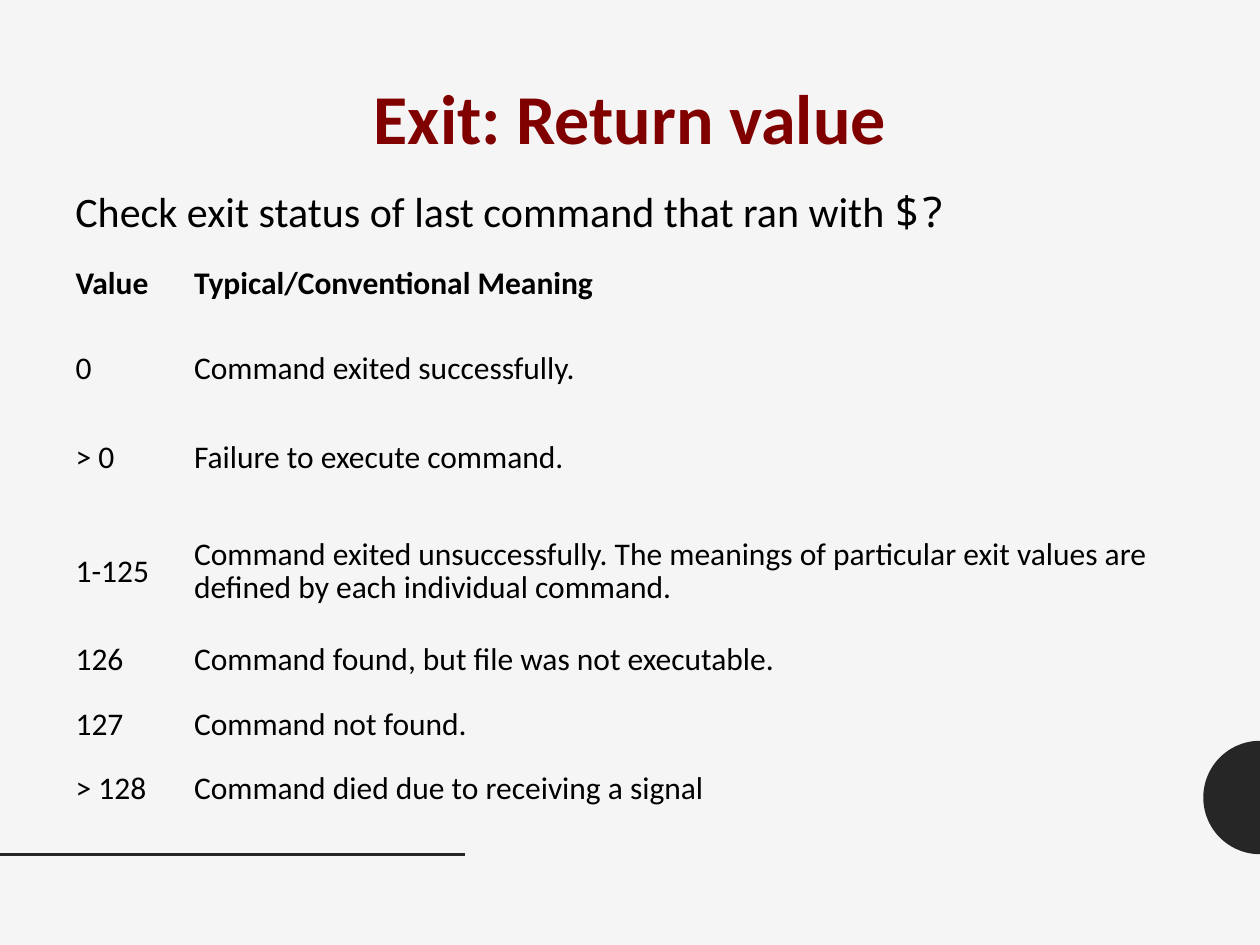
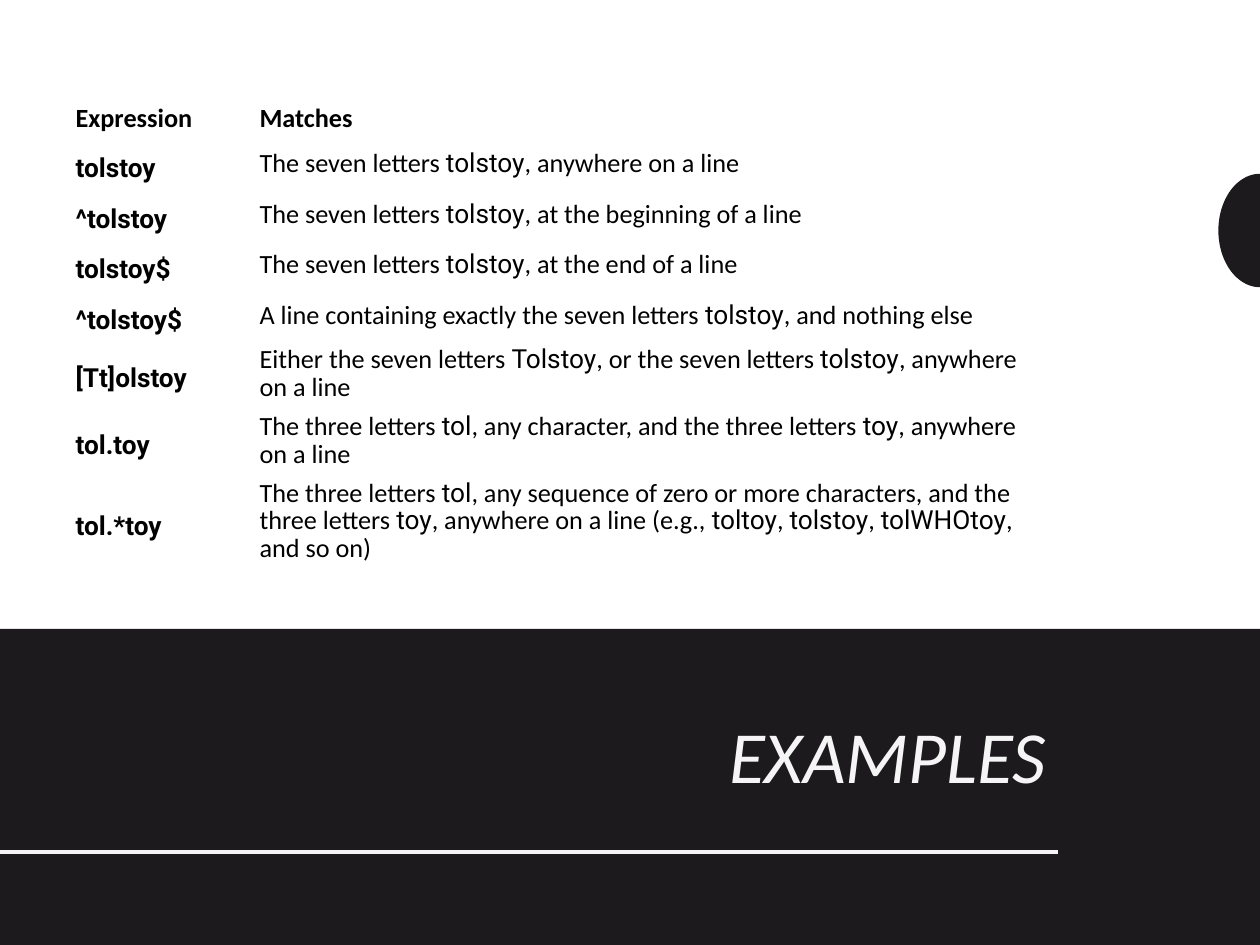
from math import cos, pi, sin

from lxml.etree import SubElement
from pptx import Presentation
from pptx.dml.color import RGBColor
from pptx.enum.shapes import MSO_CONNECTOR, MSO_SHAPE
from pptx.enum.text import MSO_ANCHOR, PP_ALIGN
from pptx.oxml.ns import qn
from pptx.util import Inches, Pt

PAPER = RGBColor(0xF5, 0xF5, 0xF5)
WHITE = RGBColor(0xFF, 0xFF, 0xFF)
CHARCOAL = RGBColor(0x26, 0x26, 0x26)
BAND = RGBColor(0x1D, 0x1A, 0x1D)
MAROON = RGBColor(0x80, 0x00, 0x00)
BLACK = RGBColor(0x00, 0x00, 0x00)

BODY_FONT = "Calibri"
MONO_FONT = "Noto Sans Mono"
CODE_FONT = "Roboto"
NO_STYLE_NO_GRID = "{2D5ABB26-0587-4C30-8999-92F81FD0307C}"
TIGHT, LOOSE = 0.87, 1.25

EXIT_VALUES = [
    ("Value", "Typical/Conventional Meaning"),
    ("0", "Command exited successfully."),
    ("> 0", "Failure to execute command."),
    ("1-125", "Command exited unsuccessfully. The meanings of particular exit "
              "values are defined by each individual command."),
    ("126", "Command found, but file was not executable."),
    ("127", "Command not found."),
    ("> 128", "Command died due to receiving a signal"),
]

# Backticks mark the words set in the code font.
EXPRESSIONS = [
    ("Expression", "Matches"),
    ("`tolstoy`", "The seven letters `tolstoy`, anywhere on a line"),
    ("`^tolstoy`", "The seven letters `tolstoy`, at the beginning of a line"),
    ("`tolstoy$`", "The seven letters `tolstoy`, at the end of a line"),
    ("`^tolstoy$`", "A line containing exactly the seven letters `tolstoy`, "
                    "and nothing else"),
    ("`[Tt]olstoy`", "Either the seven letters `Tolstoy`, or the seven letters "
                     "`tolstoy`, anywhere on a line"),
    ("`tol.toy`", "The three letters `tol`, any character, and the three "
                  "letters `toy`, anywhere on a line"),
    ("`tol.*toy`", "The three letters `tol`, any sequence of zero or more "
                   "characters, and the three letters `toy`, anywhere on a line "
                   "(e.g., `toltoy`, `tolstoy`, `tolWHOtoy`, and so on)"),
]


class SlideBuilder:
    def __init__(self, deck):
        self.deck = deck
        self.slide = None
        self.code_font = CODE_FONT

    def start(self, background, code_font):
        self.slide = self.deck.slides.add_slide(self.deck.slide_layouts[5])
        self.slide.background.fill.solid()
        self.slide.background.fill.fore_color.rgb = background
        self.code_font = code_font

    def add_spans(self, para, text, size, color=BLACK, bold=False, italic=False):
        """Fill a paragraph, setting words between backticks in the code font."""
        for index, part in enumerate(text.split("`")):
            if not part:
                continue
            span = para.add_run()
            span.text = part
            span.font.name = self.code_font if index % 2 else BODY_FONT
            span.font.size = Pt(size)
            span.font.color.rgb = color
            span.font.bold = bold
            span.font.italic = italic

    def title(self, text, left, top, width, height, align, anchor,
              spacing=1.0, **style):
        box = self.slide.shapes.title
        box.left, box.top = Inches(left), Inches(top)
        box.width, box.height = Inches(width), Inches(height)
        box.text_frame.vertical_anchor = anchor
        para = box.text_frame.paragraphs[0]
        para.alignment = align
        para.line_spacing = spacing
        self.add_spans(para, text, **style)

    def text(self, text, left, top, width, height, size):
        box = self.slide.shapes.add_textbox(
            Inches(left), Inches(top), Inches(width), Inches(height))
        box.text_frame.word_wrap = True
        self.add_spans(box.text_frame.paragraphs[0], text, size)

    def paint(self, shape, color):
        shape.shadow.inherit = False
        shape.fill.solid()
        shape.fill.fore_color.rgb = color
        shape.line.fill.background()

    def band(self, top, color):
        page_width, page_height = self.deck.slide_width, self.deck.slide_height
        band = self.slide.shapes.add_shape(
            MSO_SHAPE.RECTANGLE, 0, Inches(top), page_width,
            page_height - Inches(top))
        self.paint(band, color)
        # The band lies behind the title placeholder.
        self.slide.shapes.title._element.addprevious(band._element)

    def edge_disc(self, top, width, height, color, steps=48):
        """Draw half an ellipse whose flat side lies on the right page edge."""
        right, middle = self.deck.slide_width, Inches(top + height / 2)
        points = [(round(right - Inches(width) * sin(pi * step / steps)),
                   round(middle - Inches(height / 2) * cos(pi * step / steps)))
                  for step in range(steps + 1)]
        outline = self.slide.shapes.build_freeform(*points[0])
        outline.add_line_segments(points[1:], close=True)
        self.paint(outline.convert_to_shape(), color)

    def edge_line(self, top, length, color):
        line = self.slide.shapes.add_connector(
            MSO_CONNECTOR.STRAIGHT, 0, Inches(top), Inches(length), Inches(top))
        line.line.color.rgb = color
        line.line.width = Pt(2)
        SubElement(line._element.spPr, qn("a:effectLst"))

    def table(self, rows, left, top, widths, heights, size, side_margin,
              bottom_margin):
        table = self.slide.shapes.add_table(
            len(rows), len(widths), Inches(left), Inches(top),
            Inches(sum(widths)), Inches(sum(heights))).table
        table.first_row = table.horz_banding = False
        table._tbl.tblPr.find(qn("a:tableStyleId")).text = NO_STYLE_NO_GRID
        for column, width in zip(table.columns, widths):
            column.width = Inches(width)
        for row, height in zip(table.rows, heights):
            row.height = Inches(height)
        for row_index, texts in enumerate(rows):
            for column_index, text in enumerate(texts):
                cell = table.cell(row_index, column_index)
                all_code = text.startswith("`")
                cell.fill.background()
                cell.vertical_anchor = MSO_ANCHOR.MIDDLE
                cell.margin_left = cell.margin_right = Inches(side_margin)
                cell.margin_top = Inches(0.04 if all_code else 0.03)
                cell.margin_bottom = Inches(bottom_margin)
                para = cell.text_frame.paragraphs[0]
                para.line_spacing = LOOSE if all_code else TIGHT
                self.add_spans(para, text, size, bold=row_index == 0 or all_code)


def build_exit_slide(page):
    page.start(PAPER, MONO_FONT)
    page.edge_disc(5.88, 0.45, 0.9, CHARCOAL)
    page.edge_line(6.78, 3.69, CHARCOAL)
    page.title("Exit: Return value", 0.5, 0.3, 9, 1.25, PP_ALIGN.CENTER,
               MSO_ANCHOR.MIDDLE, size=40, color=MAROON, bold=True)
    page.table(EXIT_VALUES, 0.5, 1.84, [0.94, 8.23],
               [0.85, 0.51, 0.9, 0.9] + [0.51] * 3, 18, 0.1, 0.05)
    page.text("Check exit status of last command that ran with `$?`",
              0.5, 1.42, 7.67, 0.51, 24)


def build_examples_slide(page):
    page.start(WHITE, CODE_FONT)
    page.band(4.99, BAND)
    page.title("EXAMPLES", 0.53, 5.69, 7.87, 0.98, PP_ALIGN.RIGHT,
               MSO_ANCHOR.TOP, spacing=0.85, size=42, color=PAPER, italic=True)
    page.edge_disc(1.38, 0.33, 0.9, BAND)
    page.edge_line(6.76, 8.4, PAPER)
    page.table(EXPRESSIONS, 0.52, 0.79, [1.46, 6.42],
               [0.32] + [0.4] * 4 + [0.53] * 2 + [0.75], 15, 0.08, 0.04)


def main():
    deck = Presentation()
    deck.slide_width, deck.slide_height = Inches(10), Inches(7.5)
    page = SlideBuilder(deck)
    build_exit_slide(page)
    build_examples_slide(page)
    deck.save("out.pptx")


if __name__ == "__main__":
    main()
